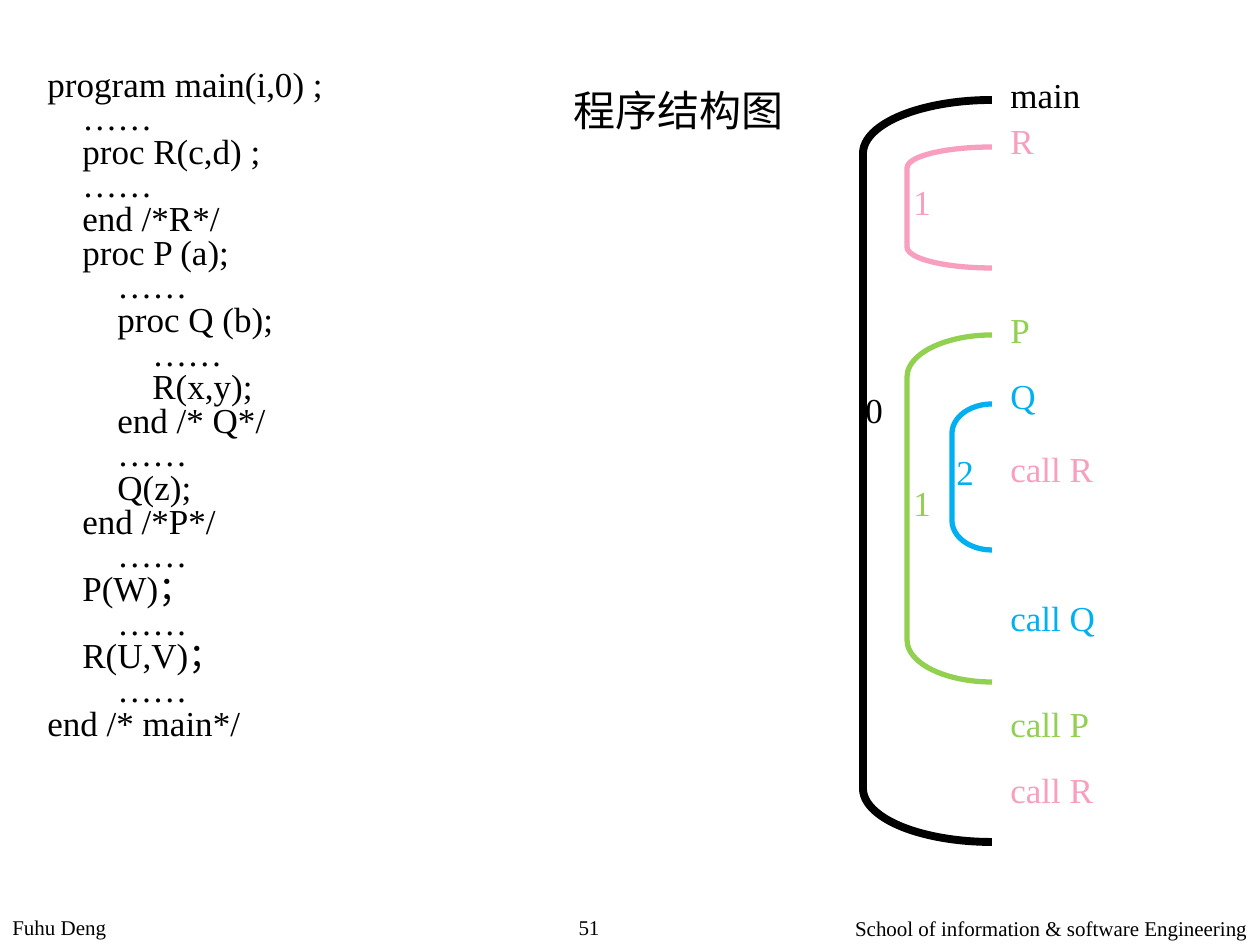
"""Build the slide that sets a nested program beside its bracketed structure diagram."""
import pptx
import pptx.dml.color
import pptx.enum.shapes
import pptx.enum.text
import pptx.util

FONT = "Times New Roman"
COLOURS = {"main": "000000", "R": "F89EBE", "P": "92D050", "Q": "00B0F0"}
ALIGN = pptx.enum.text.PP_ALIGN

TITLE = ("程序结构图", (561, 78, 237, 63))
CODE_AREA = (35, 64, 455, 692)
CODE = [
    "program main(i,0) ;",
    "    ……",
    "    proc R(c,d) ;",
    "    ……",
    "    end /*R*/",
    "    proc P (a);",
    "        ……",
    "        proc Q (b);",
    "            ……",
    "            R(x,y);",
    "        end /* Q*/",
    "        ……",
    "        Q(z);",
    "    end /*P*/",
    "        ……",
    "    P(W)；",
    "        ……",
    "    R(U,V)；",
    "        ……",
    "end /* main*/",
]

BRACKET_RIGHT = 992
BRACKETS = [  # procedure, left, top, height, curve, line width
    ("main", 863, 100, 742, 0.415, 4.5),
    ("P", 907, 335, 347, 0.495, 3),
    ("Q", 952, 404, 146, 0.738, 3),
    ("R", 907, 147, 121, 0.246, 3),
]

LABEL_HEIGHT = 55
LABEL_LEFT = 998
LABELS = [
    ("main", "main", 67, 118),
    ("R", "R", 113, 79),
    ("P", "P", 302, 79),
    ("Q", "Q", 368, 79),
    ("call R", "R", 441, 132),
    ("call Q", "Q", 590, 132),
    ("call P", "P", 696, 132),
    ("call R", "R", 762, 132),
]

LEVEL_WIDTH = 43
LEVELS = [
    ("0", "main", 853, 382),
    ("1", "R", 901, 174),
    ("1", "P", 901, 475),
    ("2", "Q", 944, 444),
]

FOOTERS = [
    ("Fuhu Deng", (0, 908, 530, 36), ALIGN.LEFT),
    ("51", (530, 908, 118, 36), ALIGN.CENTER),
    ("School of information & software Engineering", (656, 909, 604, 36), ALIGN.RIGHT),
]


def px(length):
    return pptx.util.Emu(round(length * 914400 / 126))


def colour(name):
    return pptx.dml.color.RGBColor.from_string(COLOURS[name])


def write(box, lines, size, name="main", align=ALIGN.LEFT, wrap=True, spacing=None):
    frame = box.text_frame
    frame.word_wrap = wrap
    frame.auto_size = pptx.enum.text.MSO_AUTO_SIZE.NONE
    frame.vertical_anchor = pptx.enum.text.MSO_ANCHOR.TOP
    for index, line in enumerate(lines):
        para = frame.add_paragraph() if index else frame.paragraphs[0]
        para.alignment = align
        para.line_spacing = spacing
        span = para.add_run()
        span.text = line
        span.font.name = FONT
        span.font.size = pptx.util.Pt(size)
        span.font.color.rgb = colour(name)


def add_text(page, area, lines, size, **style):
    write(page.shapes.add_textbox(*map(px, area)), lines, size, **style)


def add_bracket(page, name, left, top, height, curve, weight):
    area = (left, top, BRACKET_RIGHT - left, height)
    bracket = page.shapes.add_shape(
        pptx.enum.shapes.MSO_SHAPE.LEFT_BRACKET, *map(px, area))
    bracket.adjustments[0] = curve
    bracket.shadow.inherit = False
    bracket.fill.background()
    bracket.line.color.rgb = colour(name)
    bracket.line.width = pptx.util.Pt(weight)


def main():
    deck = pptx.Presentation()
    deck.slide_width, deck.slide_height = px(1260), px(945)
    page = deck.slides.add_slide(deck.slide_layouts.get_by_name("Title Only"))

    heading, area = TITLE
    title = page.shapes.title
    title.left, title.top, title.width, title.height = map(px, area)
    write(title, [heading], 24, wrap=False)

    add_text(page, CODE_AREA, CODE, 20, spacing=0.8)
    for bracket in BRACKETS:
        add_bracket(page, *bracket)
    for text, name, top, width in LABELS:
        add_text(page, (LABEL_LEFT, top, width, LABEL_HEIGHT), [text], 20, name=name)
    for text, name, left, top in LEVELS:
        add_text(page, (left, top, LEVEL_WIDTH, LABEL_HEIGHT), [text], 20,
                 name=name, wrap=False)
    for text, area, align in FOOTERS:
        add_text(page, area, [text], 12, align=align)

    deck.save("out.pptx")


if __name__ == "__main__":
    main()
